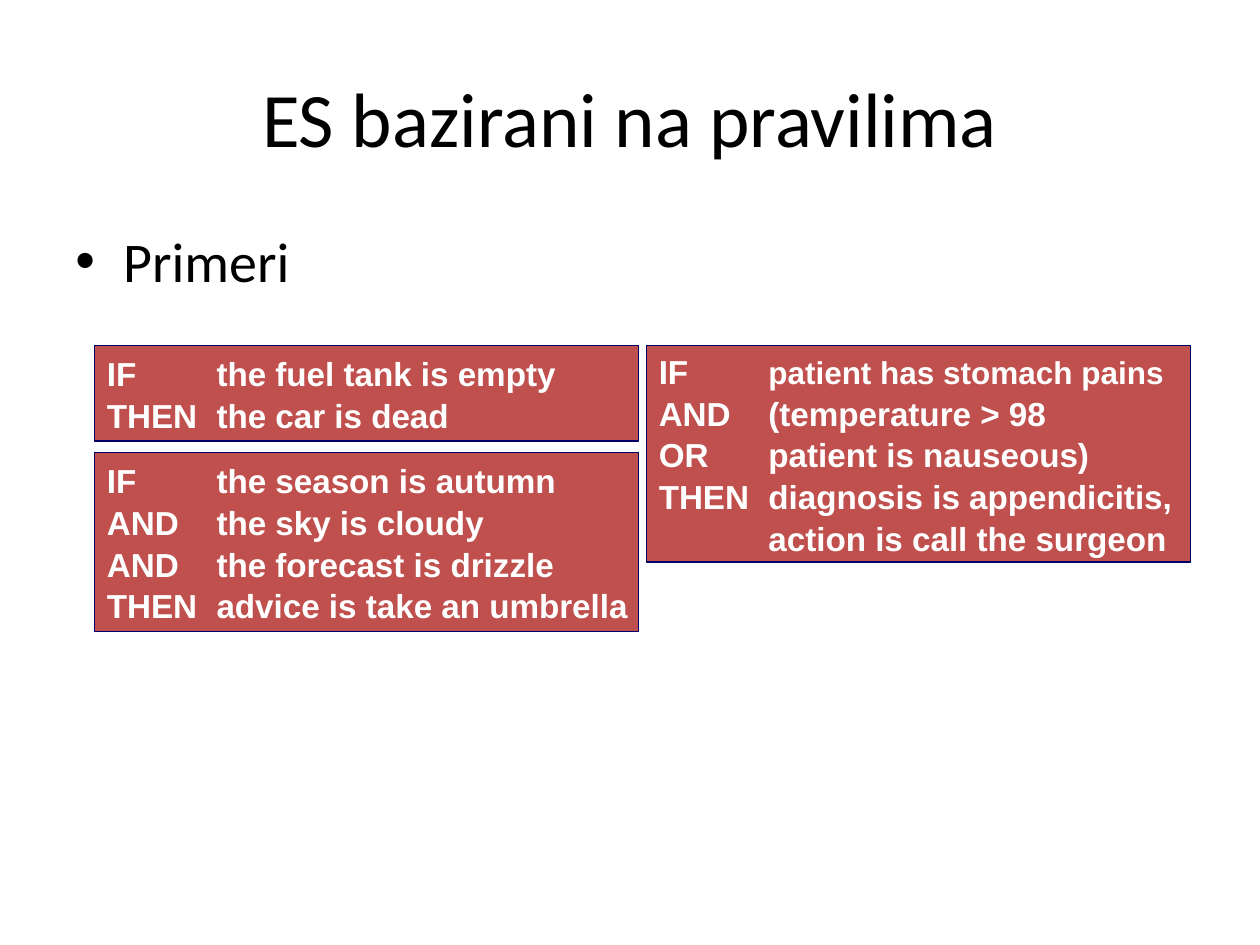
from dataclasses import dataclass

from lxml.etree import SubElement
from pptx import Presentation
from pptx.dml.color import RGBColor as Color
from pptx.enum.shapes import MSO_SHAPE as Shape
from pptx.enum.text import MSO_ANCHOR as Anchor, PP_ALIGN as Align
from pptx.oxml.ns import qn
from pptx.util import Inches, Pt


@dataclass(frozen=True)
class Theme:
    """Colours, fonts and type sizes of the slide."""
    ink: Color = Color(0, 0, 0)
    fill: Color = Color.from_string("C0504D")
    line: Color = Color.from_string("000066")
    light: Color = Color(255, 255, 255)
    heading_font: str = "Calibri"
    rule_font: str = "Arial"
    title_size: int = 44
    body_size: int = 32
    rule_size: int = 19
    small_size: int = 18


THEME = Theme()
RULE_WIDTH = 4.32
KEYWORD_WIDTH = 0.87
LEFT, RIGHT, TOP = 0.75, 5.13, 2.74

FUEL = [("IF", "the fuel tank is empty"), ("THEN", "the car is dead")]
WEATHER = [
    ("IF", "the season is autumn"),
    ("AND", "the sky is cloudy"),
    ("AND", "the forecast is drizzle"),
    ("THEN", "advice is take an umbrella"),
]
PATIENT = [
    ("IF", "patient has stomach pains", THEME.small_size),
    ("AND", "(temperature > 98"),
    ("OR", "patient is nauseous)"),
    ("THEN", "diagnosis is appendicitis,"),
    ("", "action is call the surgeon"),
]


def add_span(para, text, font, size, color, bold=False):
    """Append one formatted run to a paragraph."""
    span = para.add_run()
    span.text = text
    span.font.name = font
    span.font.size = Pt(size)
    span.font.bold = bold
    span.font.color.rgb = color


def add_text_box(page, box):
    """Add a wrapping text box and return its text frame."""
    frame = page.shapes.add_textbox(*map(Inches, box)).text_frame
    frame.word_wrap = True
    return frame


def add_title(page, box, text):
    """Place the centred title."""
    frame = add_text_box(page, box)
    frame.vertical_anchor = Anchor.MIDDLE
    para = frame.paragraphs[0]
    para.alignment = Align.CENTER
    add_span(para, text, THEME.heading_font, THEME.title_size, THEME.ink)


def add_body(page, box, text):
    """Place the bulleted body line."""
    para = add_text_box(page, box).paragraphs[0]
    props = para._p.get_or_add_pPr()
    props.set("marL", str(Inches(0.38)))
    props.set("indent", str(-Inches(0.38)))
    SubElement(props, qn("a:buFont"), typeface="Arial")
    SubElement(props, qn("a:buChar"), char="•")
    add_span(para, text, THEME.heading_font, THEME.body_size, THEME.ink)


def add_rule(page, box, clauses):
    """Place a filled box of keyword and clause lines aligned by a tab stop."""
    shape = page.shapes.add_shape(Shape.RECTANGLE, *map(Inches, box))
    shape.shadow.inherit = False
    shape.fill.solid()
    shape.fill.fore_color.rgb = THEME.fill
    shape.line.color.rgb = THEME.line
    shape.line.width = Pt(0.75)
    frame = shape.text_frame
    frame.word_wrap = True
    frame.margin_right = 0
    frame.vertical_anchor = Anchor.MIDDLE
    for index, (keyword, clause, *sizes) in enumerate(clauses):
        para = frame.add_paragraph() if index else frame.paragraphs[0]
        para.alignment = Align.LEFT
        para.line_spacing = 1.05
        tabs = SubElement(para._p.get_or_add_pPr(), qn("a:tabLst"))
        SubElement(tabs, qn("a:tab"), pos=str(Inches(KEYWORD_WIDTH)), algn="l")
        clause_size = sizes[0] if sizes else THEME.rule_size
        for text, size in ((keyword + "\t", THEME.rule_size), (clause, clause_size)):
            add_span(para, text, THEME.rule_font, size, THEME.light, bold=True)


def main():
    """Build and save the deck."""
    deck = Presentation()
    deck.slide_width, deck.slide_height = Inches(10), Inches(7.5)
    page = deck.slides.add_slide(deck.slide_layouts[6])
    add_title(page, (0.5, 0.3, 9, 1.25), "ES bazirani na pravilima")
    add_body(page, (0.5, 1.75, 9, 4.95), "Primeri")
    add_rule(page, (LEFT, TOP, RULE_WIDTH, 0.76), FUEL)
    add_rule(page, (LEFT, 3.59, RULE_WIDTH, 1.42), WEATHER)
    add_rule(page, (RIGHT, TOP, RULE_WIDTH, 1.72), PATIENT)
    deck.save("out.pptx")


if __name__ == "__main__":
    main()
